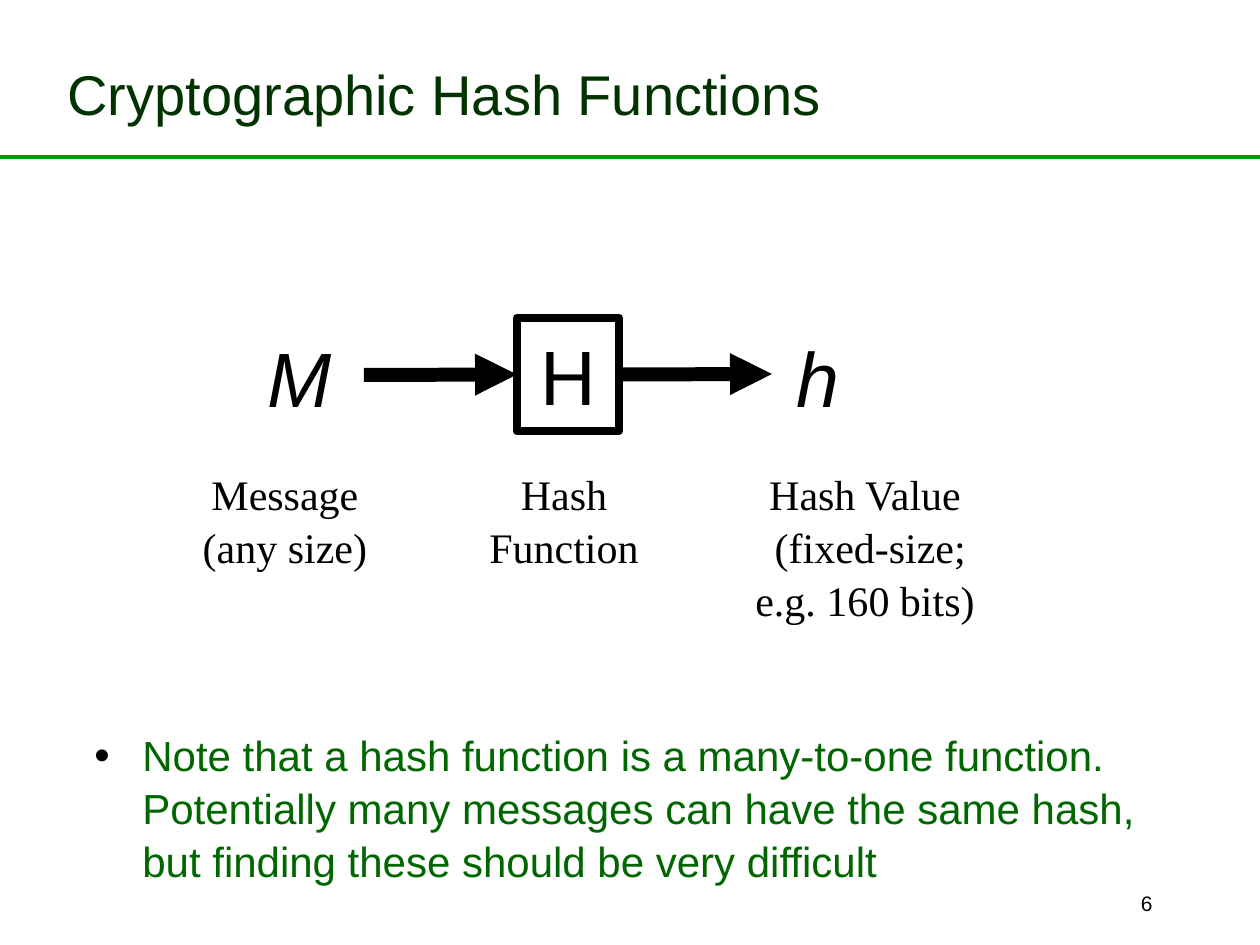
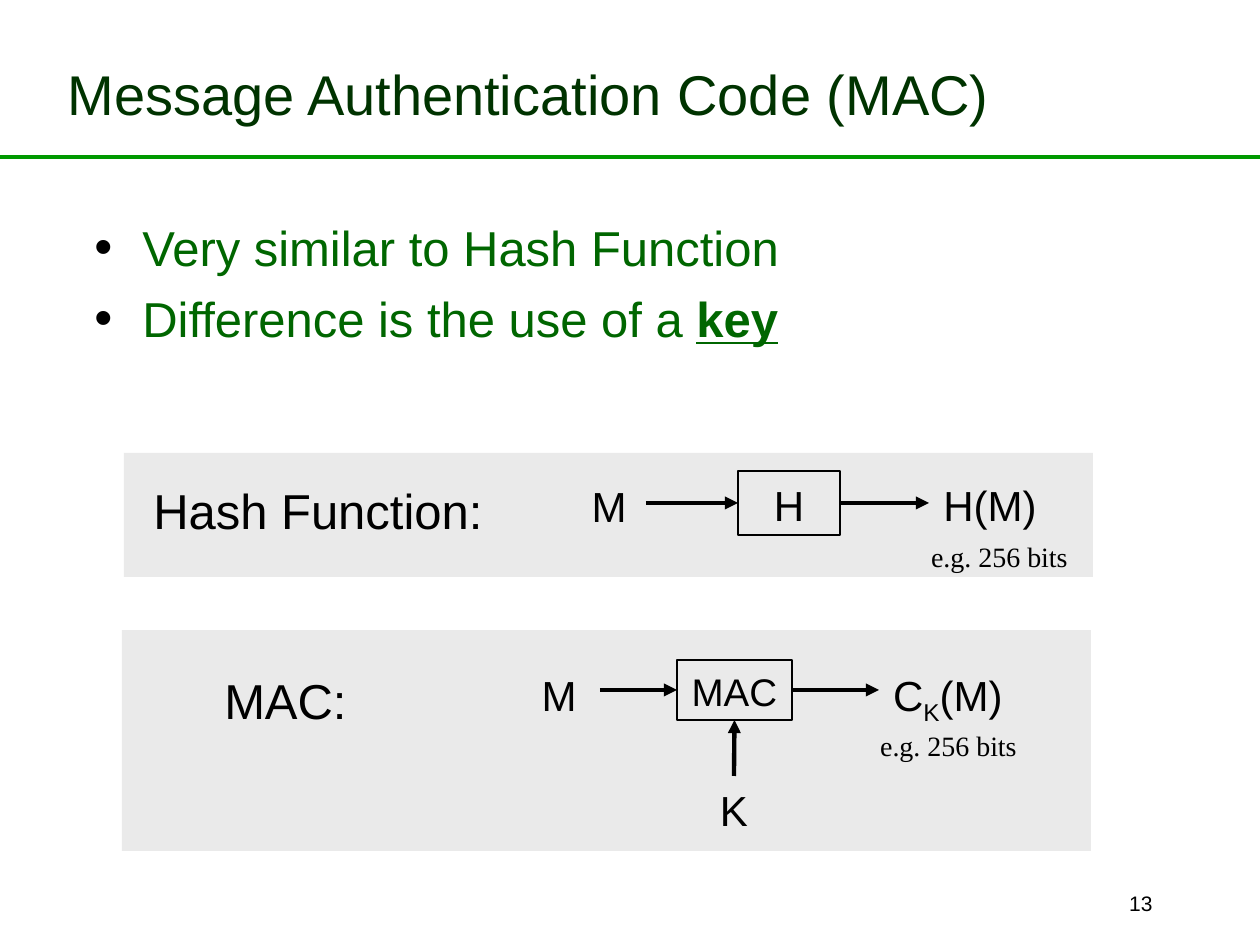
from lxml import etree
from pptx import Presentation
from pptx import util as u
from pptx.dml.color import RGBColor
from pptx.enum import shapes, text
from pptx.oxml import ns

PX = 914400 / 126
BLACK = RGBColor(0, 0, 0)
TITLE = RGBColor(0, 0x33, 0)
BODY = RGBColor(0, 0x66, 0)
RULE = RGBColor(0, 0x99, 0)
PANEL = RGBColor(0xEA, 0xEA, 0xEA)
SANS, SERIF = "Arial", "Times New Roman"
LEFT, MID, RIGHT = text.PP_ALIGN.LEFT, text.PP_ALIGN.CENTER, text.PP_ALIGN.RIGHT
TOP, HALF = text.MSO_ANCHOR.TOP, text.MSO_ANCHOR.MIDDLE


def write(page, words, area, size=24, font=SANS, color=BLACK, align=MID, anchor=TOP,
          italic=False, mark=None, bullet=False, edge=None):
    area = [round(n * PX) for n in area]
    if edge:
        box = page.shapes.add_shape(shapes.MSO_SHAPE.RECTANGLE, *area)
        box.shadow.inherit = False
        box.fill.background()
        box.line.color.rgb = BLACK
        box.line.width = u.Pt(edge)
    else:
        box = page.shapes.add_textbox(*area)
    frame = box.text_frame
    frame.word_wrap = True
    frame.vertical_anchor = anchor
    for i, line in enumerate(words.split("\n")):
        para = frame.add_paragraph() if i else frame.paragraphs[0]
        para.alignment = align
        para.line_spacing = 1.05
        if bullet:
            para.space_before = u.Pt(size * 0.2)
            props = para._p.get_or_add_pPr()
            props.set("marL", str(round(48 * PX)))
            props.set("indent", str(round(-48 * PX)))
            tint = etree.SubElement(props, ns.qn("a:buClr"))
            etree.SubElement(tint, ns.qn("a:srgbClr"), val=str(BLACK))
            etree.SubElement(props, ns.qn("a:buSzPct"), val="105000")
            etree.SubElement(props, ns.qn("a:buFont"), typeface=SANS)
            etree.SubElement(props, ns.qn("a:buChar"), char="•")
        for j, part in enumerate(line.split("|")):
            for k, piece in enumerate(part.split("\v")):
                if k:
                    para.add_line_break()
                if not piece:
                    continue
                run = para.add_run()
                run.text = piece
                run.font.name = font
                run.font.size = u.Pt(size)
                run.font.color.rgb = color
                run.font.italic = italic
                if j % 2 and mark == "key":
                    run.font.bold = run.font.underline = True
                if j % 2 and mark == "sub":
                    run._r.get_or_add_rPr().set("baseline", "-25000")
    return box


def draw(page, start, end, width, color=BLACK, box=None, site=None, out=False):
    ends = [round(n * PX) for n in (*start, *end)]
    line = page.shapes.add_connector(shapes.MSO_CONNECTOR.STRAIGHT, *ends)
    line.line.color.rgb = color
    line.line.width = u.Pt(width)
    if box:
        join = line.begin_connect if out else line.end_connect
        join(box, site)
        etree.SubElement(line.line._get_or_add_ln(), ns.qn("a:tailEnd"), type="triangle")
    etree.SubElement(line._element.spPr, ns.qn("a:effectLst"))


deck = Presentation()
deck.slide_width, deck.slide_height = u.Inches(10), u.Inches(7.5)
pages = []
for title, num in (("Cryptographic Hash Functions", "6"),
                   ("Message Authentication Code (MAC)", "13")):
    page = deck.slides.add_slide(deck.slide_layouts[6])
    draw(page, (1260, 157), (0, 157), 2.25, RULE)
    write(page, num, (903, 883, 262, 40), size=12, align=RIGHT)
    write(page, title, (55, 26, 1130, 131), size=32, color=TITLE, align=LEFT, anchor=HALF)
    pages.append(page)
hash, mac = pages

box = write(hash, "H", (517, 318, 102, 113), size=44, edge=5)
draw(hash, (364, 375), (515, 375), 8, box=box, site=1)
draw(hash, (619, 374), (772, 374), 8, box=box, site=3, out=True)
for sign, left, wide in (("M", 249, 102), ("h", 757, 122)):
    write(hash, sign, (left, 320, wide, 105), size=44, italic=True)
for label, left, wide, high in (("Message\v(any size)", 185, 200, 113),
                                ("Hash Function", 464, 200, 113),
                                ("Hash Value\v (fixed-size; e.g. 160 bits)", 717, 296, 164)):
    write(hash, label, (left, 460, wide, high), font=SERIF)
write(hash, "Note that a hash function is a many-to-one function.  Potentially many messages "
      "can have the same hash, but finding these should be very difficult",
      (82, 721, 1108, 179), color=BODY, align=LEFT, bullet=True)

for left, top, high in ((122, 630, 221), (124, 453, 124)):
    area = [round(n * PX) for n in (left, top, 969, high)]
    panel = mac.shapes.add_shape(shapes.MSO_SHAPE.RECTANGLE, *area)
    panel.shadow.inherit = False
    panel.fill.solid()
    panel.fill.fore_color.rgb = PANEL
    panel.line.fill.background()
write(mac, "Very similar to Hash Function\nDifference is the use of a |key|",
      (82, 208, 1108, 669), size=28, color=BODY, align=LEFT, bullet=True, mark="key")

write(mac, "Hash Function:", (141, 471, 368, 72), size=28, align=LEFT)
write(mac, "MAC:", (91, 661, 389, 72), size=28)
for name, size, area, msg, tail, tip, code, left, wide in (
        ("H", 24, (738, 471, 102, 64), 558, 646, 929, "H(M)", 929, 122),
        ("MAC", 22, (677, 660, 115, 60), 508, 600, 879, "C|K|(M)", 878, 140)):
    x, y, w, h = area
    mid = y + h // 2
    box = write(mac, name, area, size=size, edge=0.75)
    draw(mac, (tail, mid), (x, mid), 2.5, box=box, site=1)
    draw(mac, (x + w, mid), (tip, mid), 2.5, box=box, site=3, out=True)
    write(mac, "M", (msg, y + 1, 102, 63))
    write(mac, code, (left, y, wide, 63), mark="sub")
    write(mac, "e.g. 256 bits", (left - 19, y + 61, 179, 47), size=16, font=SERIF)
draw(mac, (734, 776), (734, 720), 2.5, box=box, site=2)
write(mac, "K", (683, 776, 102, 63))

deck.save("out.pptx")
